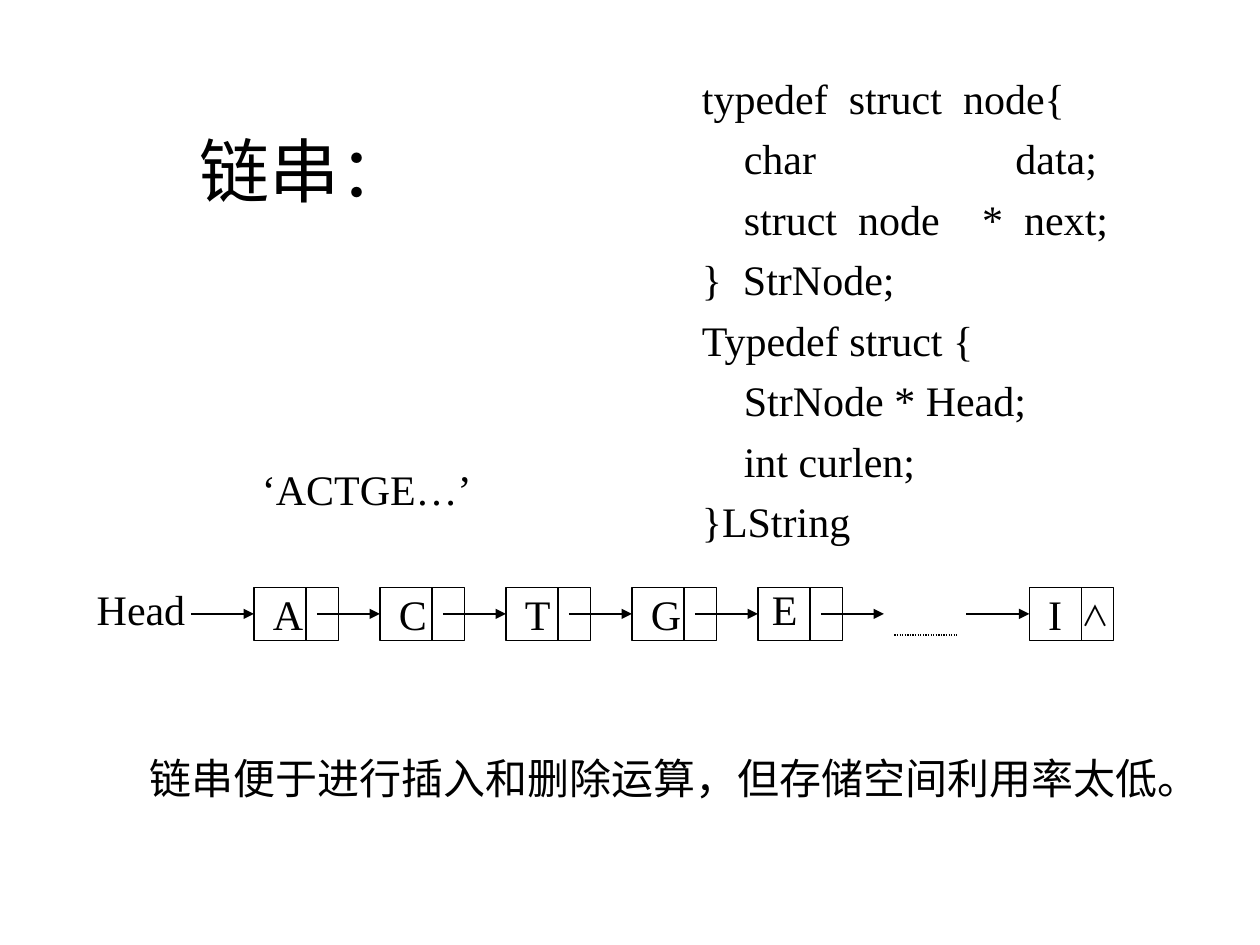
"""Build a slide on linked strings: node type, linked list diagram and remark."""
from lxml.etree import SubElement
from pptx import Presentation
from pptx.dml.color import RGBColor
from pptx.enum.dml import MSO_LINE
from pptx.enum.shapes import MSO_CONNECTOR, MSO_SHAPE
from pptx.enum.text import MSO_AUTO_SIZE
from pptx.oxml.ns import qn
from pptx.util import Cm, Pt

COLORS = {"ink": "000000"}
INK = RGBColor.from_string(COLORS["ink"])
LATIN, CJK = "Times New Roman", "Noto Sans CJK SC"

deck = Presentation()
deck.slide_width, deck.slide_height = Cm(25.4), Cm(19.05)
slide = deck.slides.add_slide(deck.slide_layouts[6])


def add_text(text, left, top, width, height=1.27, size=24, font=LATIN,
             wrap=False, spacing=None, stops=None):
    box = slide.shapes.add_textbox(Cm(left), Cm(top), Cm(width), Cm(height))
    frame = box.text_frame
    frame.word_wrap = wrap
    frame.auto_size = MSO_AUTO_SIZE.SHAPE_TO_FIT_TEXT
    for number, line in enumerate(text.split("\n")):
        paragraph = frame.add_paragraph() if number else frame.paragraphs[0]
        if stops and number in stops:
            tabs = SubElement(paragraph._p.get_or_add_pPr(), qn("a:tabLst"))
            SubElement(tabs, qn("a:tab"), pos=str(Cm(stops[number])), algn="l")
        if spacing:
            paragraph.line_spacing = spacing
        run = paragraph.add_run()
        run.text = line
        run.font.size = Pt(size)
        run.font.name = font
        run.font.color.rgb = INK
        SubElement(run._r.get_or_add_rPr(), qn("a:ea"), typeface=CJK)


def add_line(x1, y1, x2, y2, arrow=False):
    line = slide.shapes.add_connector(
        MSO_CONNECTOR.STRAIGHT, Cm(x1), Cm(y1), Cm(x2), Cm(y2))
    line.line.color.rgb = INK
    line.line.width = Pt(0.75)
    if arrow:
        SubElement(line.line._get_or_add_ln(), qn("a:tailEnd"), type="triangle")
    SubElement(line._element.spPr, qn("a:effectLst"))
    return line


add_text("链串：", 3.78, 2.44, 4.72, 1.96, size=40)

node_top, node_width, node_height = 11.84, 1.7, 1.07
divider, pitch, arrow_length = 1.05, 2.54, 1.27
middle = node_top + node_height / 2
first_left, last_left = 5.12, 20.75
label_top = 11.73

letters = {"A": 1.12, "C": 1.07, "T": 1.02, "G": 1.12, "E": 1.02, "I": 0.79}
for index, (letter, label_width) in enumerate(letters.items()):
    left = last_left if letter == "I" else first_left + index * pitch
    node = slide.shapes.add_shape(
        MSO_SHAPE.RECTANGLE, Cm(left), Cm(node_top), Cm(node_width), Cm(node_height))
    node.shadow.inherit = False
    node.fill.background()
    node.line.color.rgb = INK
    node.line.width = Pt(0.75)
    add_line(left + divider, node_top, left + divider, node_top + node_height)
    if letter == "E":
        add_text(letter, left + 0.03, label_top - 0.1, label_width)
    else:
        add_text(letter, left + 0.13, label_top, label_width)
    link = add_line(left - arrow_length, middle, left, middle, arrow=True)
    link.end_connect(node, 1)

gap_left = first_left + 5 * pitch
add_line(gap_left - arrow_length, middle, gap_left, middle, arrow=True)
ellipsis = add_line(18.03, 12.8, 19.3, 12.8)
ellipsis.line.dash_style = MSO_LINE.ROUND_DOT

add_text("∧", 21.56, 11.94, 1.07, 0.94, size=16, font=CJK, wrap=True)
add_text("Head", 1.7, 11.63, 2.29)

struct_code = """typedef  struct  node{
    char\tdata;
    struct  node\t*  next;
}  StrNode;
Typedef struct {
    StrNode * Head;
    int curlen;
}LString"""
add_text(struct_code, 13.9, 1.13, 8.69, 10.01, spacing=1.2,
         stops={1: 6.32, 2: 5.65})

add_text("‘ACTGE…’", 5.03, 9.22, 5.2, wrap=True)
add_text("链串便于进行插入和删除运算，但存储空间利用率太低。", 2.77, 15.04, 21.67)

deck.save("out.pptx")
